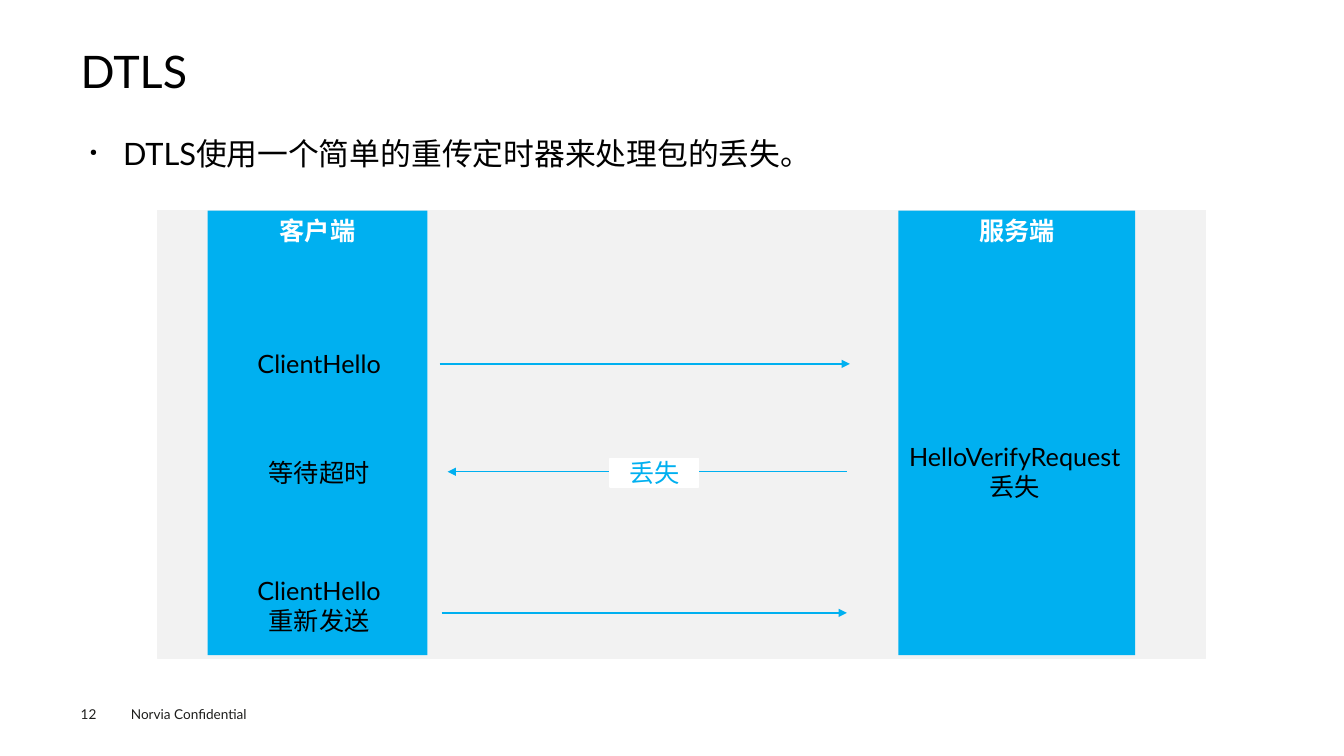
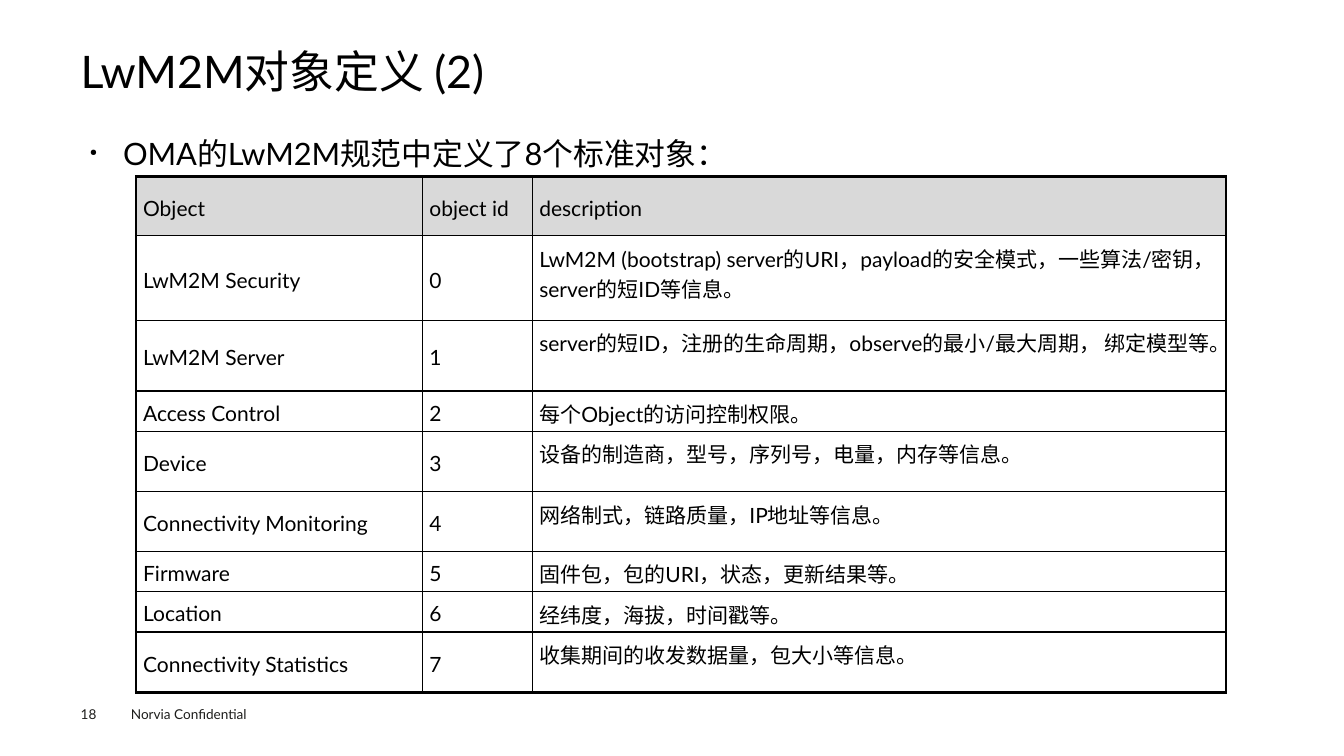
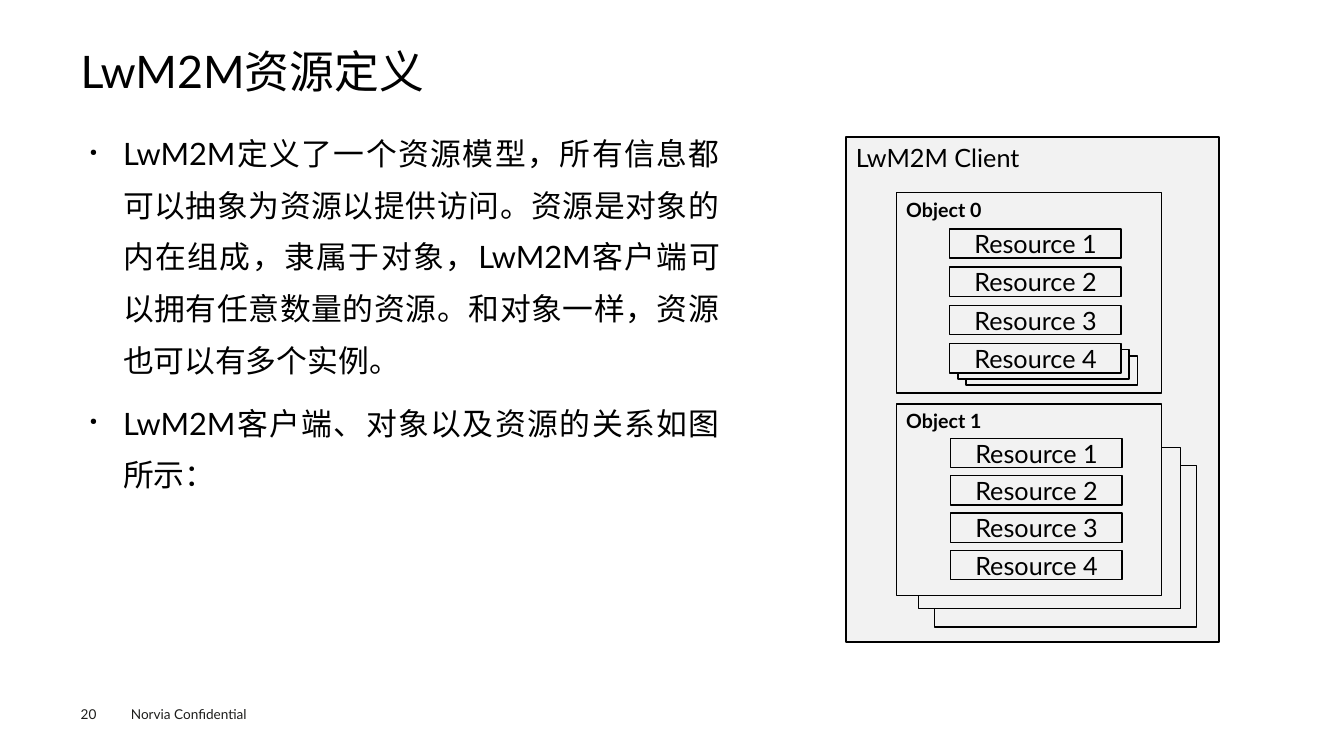
from lxml.etree import SubElement
from pptx import Presentation
from pptx.dml.color import RGBColor
from pptx.enum.shapes import MSO_CONNECTOR, MSO_SHAPE
from pptx.enum.text import MSO_ANCHOR as Anchor, MSO_AUTO_SIZE, PP_ALIGN as Align
from pptx.oxml.ns import qn
from pptx.util import Inches, Pt

# Shared style
FONT = "Lato"
BLACK = RGBColor(0x00, 0x00, 0x00)
WHITE = RGBColor(0xFF, 0xFF, 0xFF)
INK = RGBColor(0x1D, 0x1D, 0x1B)
PALE = RGBColor(0xF2, 0xF2, 0xF2)
HEADER_GREY = RGBColor(0xD9, 0xD9, 0xD9)
BLUE = RGBColor(0x00, 0xB0, 0xF0)
WIDTH, HEIGHT = 13.33, 7.5
MARGIN, FULL_WIDTH = 0.8, 11.73
FOOTER = "Norvia Confidential"

# Slide content: title, page number, bullets, body width
DTLS = ("DTLS", 12, ["DTLS使用一个简单的重传定时器来处理包的丢失。"], FULL_WIDTH)
OBJECTS = ("LwM2M对象定义 (2)", 18, ["OMA的LwM2M规范中定义了8个标准对象："], FULL_WIDTH)
RESOURCES = ("LwM2M资源定义", 20, [
    "LwM2M定义了一个资源模型，所有信息都可以抽象为资源以提供访问。资源是对象的内在组成，"
    "隶属于对象，LwM2M客户端可以拥有任意数量的资源。和对象一样，资源也可以有多个实例。",
    "LwM2M客户端、对象以及资源的关系如图所示：",
], 6.43)

# Handshake: columns (left, width, heading), notes (box, text), arrows (from x, to x, y)
COLUMN_TOP, COLUMN_HEIGHT = 2.09, 4.41
COLUMNS = [(2.06, 2.18, "客户端"), (8.91, 2.35, "服务端")]
NOTES = [
    ((2.42, 3.34, 1.49, 0.54), "ClientHello"),
    ((2.14, 4.43, 2.05, 0.51), "等待超时"),
    ((2.11, 5.74, 2.11, 0.54), "ClientHello\n重新发送"),
    ((8.74, 4.41, 2.65, 0.54), "HelloVerifyRequest\n丢失"),
]
ARROWS = [(4.36, 8.43, 3.61), (8.4, 4.44, 4.68), (4.38, 8.4, 6.08)]

# Standard objects: the object id is the position in the list
HEADINGS = ("Object", "object id", "description")
OBJECT_ROWS = [
    ("LwM2M Security", "LwM2M (bootstrap) server的URI，payload的安全模式，一些算法/密钥，server的短ID等信息。"),
    ("LwM2M Server", "server的短ID，注册的生命周期，observe的最小/最大周期， 绑定模型等。"),
    ("Access Control", "每个Object的访问控制权限。"),
    ("Device", "设备的制造商，型号，序列号，电量，内存等信息。"),
    ("Connectivity Monitoring", "网络制式，链路质量，IP地址等信息。"),
    ("Firmware", "固件包，包的URI，状态，更新结果等。"),
    ("Location", "经纬度，海拔，时间戳等。"),
    ("Connectivity Statistics", "收集期间的收发数据量，包大小等信息。"),
]
COLUMN_WIDTHS = [2.84, 1.09, 6.88]
ROW_HEIGHTS = [0.59, 0.84, 0.7, 0.4, 0.6, 0.59, 0.4, 0.4, 0.6]

# Client model: name, box, instances behind it (back first),
# first resource (left, top), row pitch, instances behind the last resource
OBJECT_BOXES = [
    ("Object 0", (8.89, 1.91, 2.63, 1.99), [], (9.42, 2.27), 0.38, 2),
    ("Object 1", (8.89, 4.01, 2.63, 1.9),
     [(9.27, 4.62, 2.6, 1.6), (9.11, 4.44, 2.6, 1.6)], (9.43, 4.35), 0.37, 0),
]
RESOURCE_COUNT = 4
RESOURCE_SIZE = (1.7, 0.29)
STACK_STEP = (0.08, 0.06)


def place(shape, box):
    shape.left, shape.top, shape.width, shape.height = (Inches(v) for v in box)


def write(frame, text, size, color=BLACK, bold=False, align=Align.LEFT, anchor=Anchor.TOP):
    frame.text = text
    frame.word_wrap = True
    frame.vertical_anchor = anchor
    for para in frame.paragraphs:
        para.alignment = align
        style(para, size, color, bold)


def style(para, size, color=BLACK, bold=False):
    for span in para.runs:
        font = span.font
        font.name, font.size, font.bold = FONT, Pt(size), bold
        font.color.rgb = color


def set_insets(frame, left, top, right, bottom):
    frame.margin_left, frame.margin_top = Inches(left), Inches(top)
    frame.margin_right, frame.margin_bottom = Inches(right), Inches(bottom)


def add_text(page, box, text, size, insets=None, **look):
    label = page.shapes.add_textbox(*(Inches(v) for v in box))
    write(label.text_frame, text, size, **look)
    if insets:
        set_insets(label.text_frame, *insets)


def add_rect(page, box, fill, line=None, text="", size=18, **look):
    rect = page.shapes.add_shape(MSO_SHAPE.RECTANGLE, *(Inches(v) for v in box))
    rect.shadow.inherit = False
    rect.fill.solid()
    rect.fill.fore_color.rgb = fill
    if line is None:
        rect.line.fill.background()
    else:
        rect.line.color.rgb = line
        rect.line.width = Pt(1)
    if text:
        write(rect.text_frame, text, size, **look)


def add_arrow(page, start, end, y):
    arrow = page.shapes.add_connector(
        MSO_CONNECTOR.STRAIGHT, Inches(start), Inches(y), Inches(end), Inches(y))
    arrow.line.color.rgb = BLUE
    arrow.line.width = Pt(1)
    properties = arrow.element.spPr
    SubElement(properties.find(qn("a:ln")), qn("a:tailEnd"), type="triangle")
    SubElement(properties, qn("a:effectLst"))


def add_bullet(para):
    para.alignment = Align.JUSTIFY
    para.line_spacing = 1.4
    para.space_before = Pt(7.9)
    properties = para._p.get_or_add_pPr()
    properties.set("marL", str(Inches(0.33)))
    properties.set("indent", str(-Inches(0.33)))
    SubElement(properties, qn("a:buSzPct"), val="30000")
    SubElement(properties, qn("a:buFontTx"))
    SubElement(properties, qn("a:buChar"), char="●")


def add_page(deck, title, number, bullets, body_width):
    page = deck.slides.add_slide(deck.slide_layouts[1])
    heading, body = page.placeholders
    place(heading, (MARGIN, 0.47, FULL_WIDTH, 0.53))
    write(heading.text_frame, title, 32, anchor=Anchor.MIDDLE)
    set_insets(heading.text_frame, 0, 0, 0, 0)
    heading.text_frame.paragraphs[0].line_spacing = 0.9
    place(body, (MARGIN, 1.15, body_width, 5.34))
    write(body.text_frame, "\n".join(bullets), 22)
    set_insets(body.text_frame, 0.09, 0.04, 0.09, 0.04)
    for para in body.text_frame.paragraphs:
        add_bullet(para)
    for placeholder in (heading, body):
        placeholder.text_frame.auto_size = MSO_AUTO_SIZE.NONE
    add_text(page, (1.2, 6.95, 1.6, 0.27), FOOTER, 9.7, color=INK)
    add_text(page, (MARGIN, 7, 0.55, 0.16), str(number), 9.7, (0, 0, 0, 0), color=INK)
    return page


def set_borders(cell, widths):
    properties = cell._tc.get_or_add_tcPr()
    for side, width in zip("LRTB", widths):
        line = SubElement(properties, qn("a:ln" + side), w=str(Pt(width)))
        fill = SubElement(line, qn("a:solidFill"))
        SubElement(fill, qn("a:srgbClr"), val=str(BLACK))


def draw_handshake(page):
    add_rect(page, (1.56, COLUMN_TOP, 10.4, 4.44), PALE, PALE)
    for left, width, heading in COLUMNS:
        add_rect(page, (left, COLUMN_TOP, width, COLUMN_HEIGHT), BLUE,
                 text=heading, color=WHITE, bold=True, align=Align.CENTER)
    for arrow in ARROWS:
        add_arrow(page, *arrow)
    for box, text in NOTES:
        add_text(page, box, text, 18, align=Align.CENTER, anchor=Anchor.MIDDLE)
    add_rect(page, (6.05, 4.55, 0.88, 0.28), WHITE, WHITE, "丢失",
             color=BLUE, align=Align.CENTER, anchor=Anchor.MIDDLE)


def draw_object_table(page):
    rows = [HEADINGS] + [(name, str(i), text) for i, (name, text) in enumerate(OBJECT_ROWS)]
    box = (1.35, 1.75, sum(COLUMN_WIDTHS), sum(ROW_HEIGHTS))
    table = page.shapes.add_table(
        len(rows), len(HEADINGS), *(Inches(v) for v in box)).table
    table.first_row = table.horz_banding = False
    for column, width in zip(table.columns, COLUMN_WIDTHS):
        column.width = Inches(width)
    for row, height in zip(table.rows, ROW_HEIGHTS):
        row.height = Inches(height)
    last_row, last_column = len(rows) - 1, len(HEADINGS) - 1
    for r, values in enumerate(rows):
        for c, value in enumerate(values):
            cell = table.cell(r, c)
            cell.text = value
            style(cell.text_frame.paragraphs[0], 15)
            set_insets(cell, 0.07, 0.07, 0.07, 0.03)
            cell.vertical_anchor = Anchor.TOP if r and c == last_column else Anchor.MIDDLE
            outer = (c == 0, c == last_column, r == 0, r == last_row)
            set_borders(cell, [2.25 if edge else 1 for edge in outer])
            if r == 0:
                cell.fill.solid()
                cell.fill.fore_color.rgb = HEADER_GREY
            else:
                cell.fill.background()


def draw_client_model(page):
    add_rect(page, (8.39, 1.36, 3.7, 5.01), PALE, BLACK, "LwM2M Client")
    for name, box, behind, (left, top), pitch, copies in OBJECT_BOXES:
        for instance in behind:
            add_rect(page, instance, PALE, BLACK)
        add_rect(page, box, PALE, BLACK, name, 14, bold=True)
        for i in range(RESOURCE_COUNT):
            y = top + i * pitch
            stacked = copies if i == RESOURCE_COUNT - 1 else 0
            for step in range(stacked, 0, -1):
                corner = (left + step * STACK_STEP[0], y + step * STACK_STEP[1])
                add_rect(page, corner + RESOURCE_SIZE, PALE, BLACK)
            add_rect(page, (left, y) + RESOURCE_SIZE, PALE, BLACK, f"Resource {i + 1}",
                     align=Align.CENTER, anchor=Anchor.MIDDLE)


def main():
    deck = Presentation()
    deck.slide_width, deck.slide_height = Inches(WIDTH), Inches(HEIGHT)
    draw_handshake(add_page(deck, *DTLS))
    draw_object_table(add_page(deck, *OBJECTS))
    draw_client_model(add_page(deck, *RESOURCES))
    deck.save("out.pptx")


if __name__ == "__main__":
    main()
